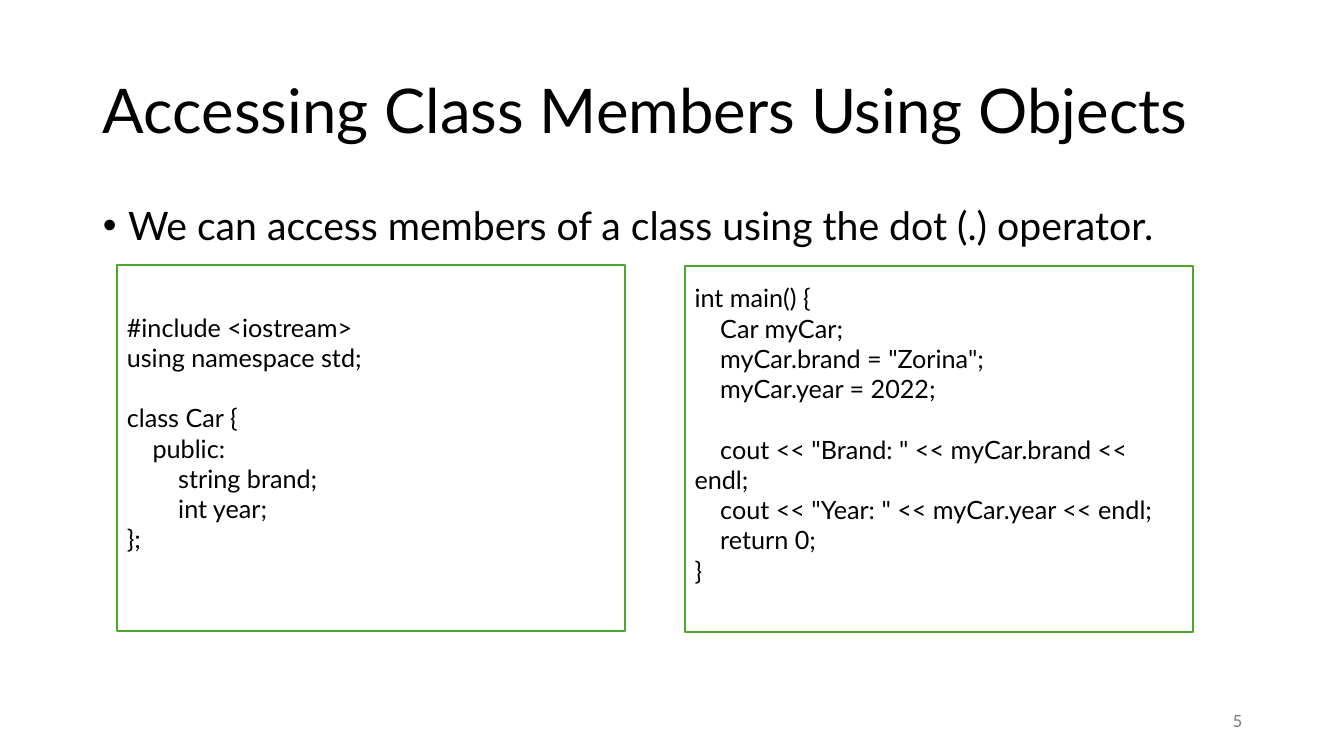
from lxml import etree
from pptx import Presentation
from pptx.dml.color import RGBColor
from pptx.enum.shapes import MSO_SHAPE
from pptx.enum.text import MSO_ANCHOR, MSO_AUTO_SIZE, PP_ALIGN
from pptx.oxml.ns import qn
from pptx.util import Inches, Pt

RECT = MSO_SHAPE.RECTANGLE
MIDDLE, TOP = MSO_ANCHOR.MIDDLE, MSO_ANCHOR.TOP
LEFT, RIGHT = PP_ALIGN.LEFT, PP_ALIGN.RIGHT
NO_FIT = MSO_AUTO_SIZE.NONE
FONT = "Lato"
COLORS = {"text": "000000", "page": "FFFFFF", "frame": "4EA72E", "number": "797979"}
LINE = 0.3
TAB = 0.255

CLASS_CODE = [
    (0, "#include <iostream>"),
    (0, "using namespace std;"),
    None,
    (0, "class Car {"),
    (1, "public:"),
    (2, "string brand;"),
    (2, "int year;"),
    (0, "};"),
]
MAIN_CODE = [
    (0, "int main() {"),
    (1, "Car myCar;"),
    (1, 'myCar.brand = "Zorina";'),
    (1, "myCar.year = 2022;"),
    None,
    (1, 'cout << "Brand: " << myCar.brand << endl;'),
    (1, 'cout << "Year: " << myCar.year << endl;'),
    (1, "return 0;"),
    (0, "}"),
]


def color(name):
    """Return the named colour."""
    return RGBColor.from_string(COLORS[name])


def style(para, size, align=LEFT, tint="text"):
    """Format a paragraph and its runs."""
    para.alignment = align
    for run in para.runs:
        run.font.name = FONT
        run.font.size = Pt(size)
        run.font.color.rgb = color(tint)


def indent(para, margin, first):
    """Set the left margin and first-line indent of a paragraph."""
    props = para._p.get_or_add_pPr()
    props.set("marL", str(Inches(margin)))
    props.set("indent", str(Inches(first)))
    return props


def fill_holder(shape, box, text, size, anchor):
    """Place a template placeholder and set its text."""
    shape.left, shape.top, shape.width, shape.height = map(Inches, box)
    frame = shape.text_frame
    frame.text = text
    frame.auto_size = NO_FIT
    frame.vertical_anchor = anchor
    para = frame.paragraphs[0]
    para.line_spacing = 0.9
    style(para, size)
    return para


def add_bullet(para):
    """Give a paragraph a hanging round bullet."""
    para.space_before = Pt(10)
    props = indent(para, 0.25, -0.25)
    etree.SubElement(props, qn("a:buFont")).set("typeface", "Arial")
    etree.SubElement(props, qn("a:buChar")).set("char", "•")


def add_code(slide, left, top, lines):
    """Draw a framed code listing, where None leaves a line free."""
    shape = slide.shapes.add_shape(
        RECT, Inches(left), Inches(top), Inches(5.04), Inches(3.63))
    shape.shadow.inherit = False
    shape.fill.solid()
    shape.fill.fore_color.rgb = color("page")
    shape.line.color.rgb = color("frame")
    shape.line.width = Pt(1.5)
    frame = shape.text_frame
    frame.word_wrap = True
    frame.vertical_anchor = MIDDLE
    frame.margin_bottom = Inches(0.05 + LINE)
    frame.text = "\n".join(line[1] for line in lines if line)
    paras = iter(frame.paragraphs)
    gap = 0
    for line in lines:
        if line is None:
            gap = LINE
            continue
        para = next(paras)
        style(para, 18)
        indent(para, 0, line[0] * TAB)
        para.space_before = Inches(gap)
        gap = 0


def add_number(slide, text):
    """Write the page number at the lower right."""
    box = slide.shapes.add_textbox(
        Inches(9.42), Inches(6.95), Inches(3), Inches(0.4))
    frame = box.text_frame
    frame.word_wrap = True
    frame.vertical_anchor = MIDDLE
    frame.text = text
    style(frame.paragraphs[0], 12, RIGHT, "number")


def main():
    """Build and save the slide."""
    deck = Presentation()
    deck.slide_width, deck.slide_height = Inches(13.33), Inches(7.5)
    slide = deck.slides.add_slide(deck.slide_layouts[1])
    fill_holder(slide.shapes.title, (0.92, 0.4, 11.5, 1.45),
                "Accessing Class Members Using Objects", 44, MIDDLE)
    point = fill_holder(
        slide.placeholders[1], (0.92, 2, 11.5, 4.76),
        "We can access members of a class using the dot (.) operator.", 28, TOP)
    add_bullet(point)
    add_code(slide, 1.16, 2.63, CLASS_CODE)
    add_code(slide, 6.79, 2.64, MAIN_CODE)
    add_number(slide, "5")
    deck.save("out.pptx")


if __name__ == "__main__":
    main()
